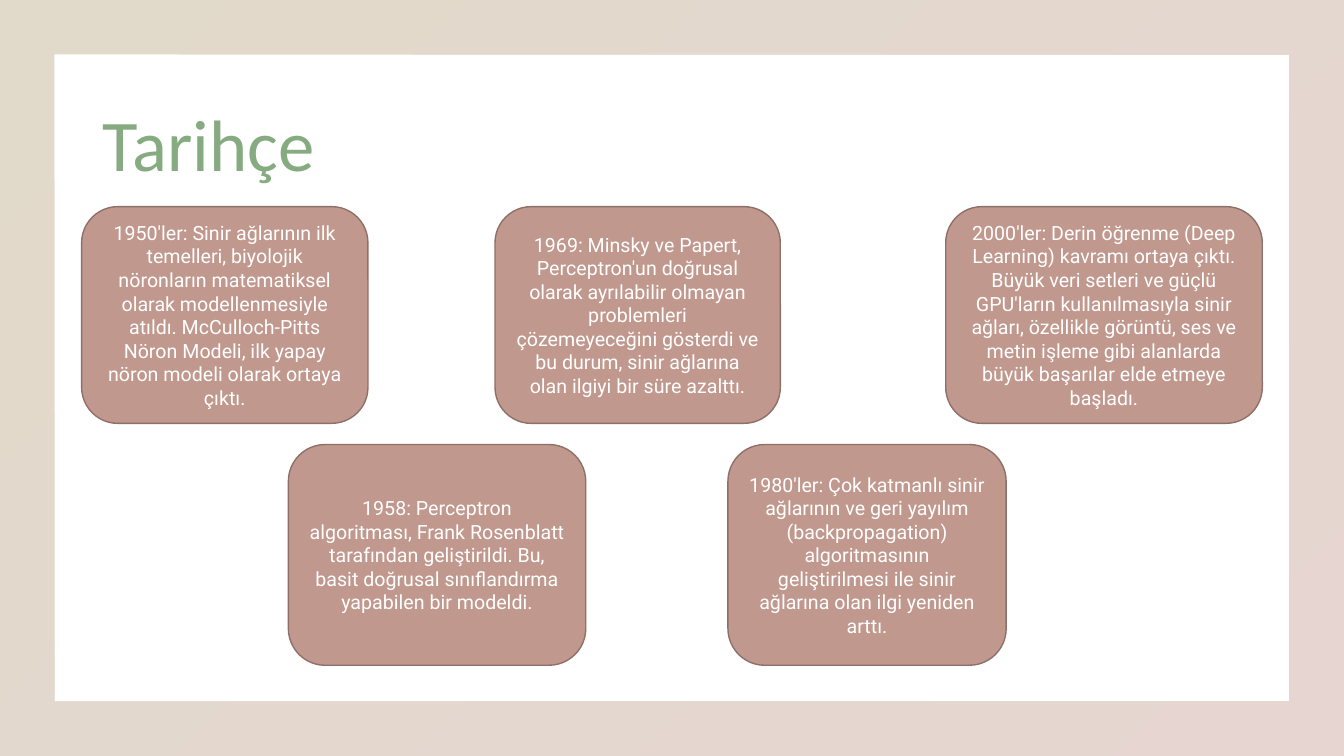
from lxml import etree
from pptx import Presentation
from pptx.dml.color import RGBColor
from pptx.enum.shapes import MSO_SHAPE
from pptx.enum.text import MSO_ANCHOR, MSO_AUTO_SIZE, PP_ALIGN
from pptx.oxml.ns import qn
from pptx.util import Inches, Pt

FRAME = MSO_SHAPE.FRAME
ROUNDED = MSO_SHAPE.ROUNDED_RECTANGLE
MIDDLE = MSO_ANCHOR.MIDDLE
NO_FIT = MSO_AUTO_SIZE.NONE
LEFT = PP_ALIGN.LEFT
CENTER = PP_ALIGN.CENTER

COLORS = {
    "white": "FFFFFF",
    "sand": "B6A17C",
    "rose": "C1988D",
    "rose_dark": "8F7068",
    "green": "86AB81",
}

UPPER_TOP, UPPER_HEIGHT = 2.05, 2.15
LOWER_TOP, LOWER_HEIGHT = 4.41, 2.19

MILESTONES = [
    (0.81, 2.84, "1950'ler: Sinir ağlarının ilk temelleri, biyolojik nöronların "
     "matematiksel olarak modellenmesiyle atıldı. McCulloch-Pitts Nöron Modeli, "
     "ilk yapay nöron modeli olarak ortaya çıktı."),
    (2.86, 2.95, "1958: Perceptron algoritması, Frank Rosenblatt tarafından "
     "geliştirildi. Bu, basit doğrusal sınıflandırma yapabilen bir modeldi."),
    (4.91, 2.83, "1969: Minsky ve Papert, Perceptron'un doğrusal olarak ayrılabilir "
     "olmayan problemleri çözemeyeceğini gösterdi ve bu durum, sinir ağlarına "
     "olan ilgiyi bir süre azalttı."),
    (7.22, 2.76, "1980'ler: Çok katmanlı sinir ağlarının ve geri yayılım "
     "(backpropagation) algoritmasının geliştirilmesi ile sinir ağlarına olan "
     "ilgi yeniden arttı."),
    (9.38, 3.14, "2000'ler: Derin öğrenme (Deep Learning) kavramı ortaya çıktı. "
     "Büyük veri setleri ve güçlü GPU'ların kullanılmasıyla sinir ağları, "
     "özellikle görüntü, ses ve metin işleme gibi alanlarda büyük başarılar "
     "elde etmeye başladı."),
]


def rgb(name):
    return RGBColor.from_string(COLORS[name])


def apply_gradient(fill, element, angle, stops):
    fill.gradient()
    fill.gradient_angle = angle
    for stop, (name, _) in zip(fill.gradient_stops, stops):
        stop.color.rgb = rgb(name)
    for color, (_, opacity) in zip(element.iter(qn("a:srgbClr")), stops):
        if opacity < 100:
            etree.SubElement(color, qn("a:alpha"), val=str(opacity * 1000))


deck = Presentation()
deck.slide_width = Inches(13.33)
deck.slide_height = Inches(7.5)
page = deck.slides.add_slide(deck.slide_layouts[5])
page.background.fill.solid()
page.background.fill.fore_color.rgb = rgb("white")

title = page.shapes.title
title.left, title.top = Inches(0.92), Inches(0.74)
title.width, title.height = Inches(11.5), Inches(1.45)
title.text_frame.vertical_anchor = MIDDLE
title.text_frame.auto_size = NO_FIT
para = title.text_frame.paragraphs[0]
para.alignment = LEFT
para.line_spacing = 0.9
span = para.add_run()
span.text = "Tarihçe"
span.font.name = "Calibri"
span.font.size = Pt(52)
apply_gradient(span.font.fill, title._element, 0, [("green", 100), ("rose", 70)])

frame = page.shapes.add_shape(FRAME, 0, 0, deck.slide_width, deck.slide_height)
frame.adjustments[0] = 0.072
frame.shadow.inherit = False
frame.line.fill.background()
apply_gradient(frame.fill, frame._element, 315, [("sand", 40), ("rose", 40)])
title._element.addprevious(frame._element)

for index, (left, width, text) in enumerate(MILESTONES):
    top, height = (LOWER_TOP, LOWER_HEIGHT) if index % 2 else (UPPER_TOP, UPPER_HEIGHT)
    box = page.shapes.add_shape(
        ROUNDED, Inches(left), Inches(top), Inches(width), Inches(height))
    box.shadow.inherit = False
    box.fill.solid()
    box.fill.fore_color.rgb = rgb("rose")
    box.line.color.rgb = rgb("rose_dark")
    box.line.width = Pt(1)
    box.text_frame.word_wrap = True
    box.text_frame.vertical_anchor = MIDDLE
    para = box.text_frame.paragraphs[0]
    para.alignment = CENTER
    span = para.add_run()
    span.text = text
    span.font.name = "Roboto"
    span.font.size = Pt(14)
    span.font.color.rgb = rgb("white")

deck.save("out.pptx")
